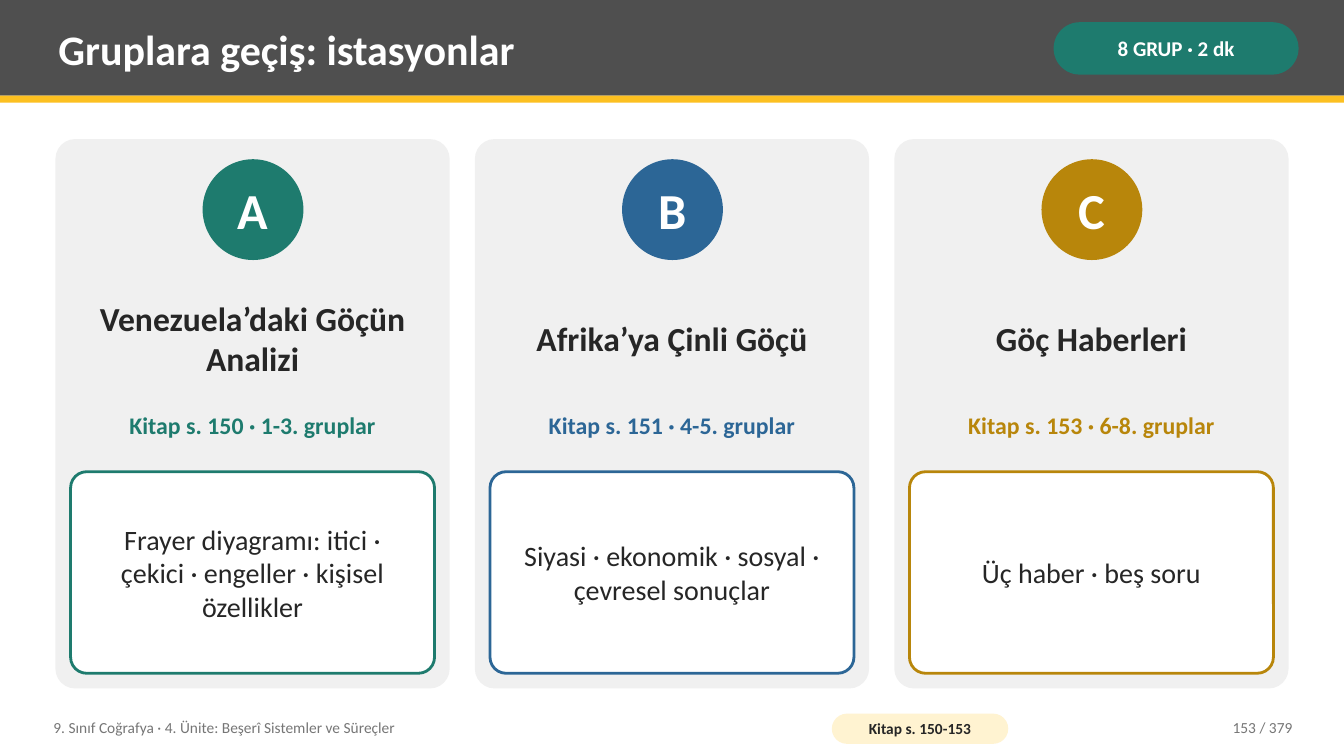
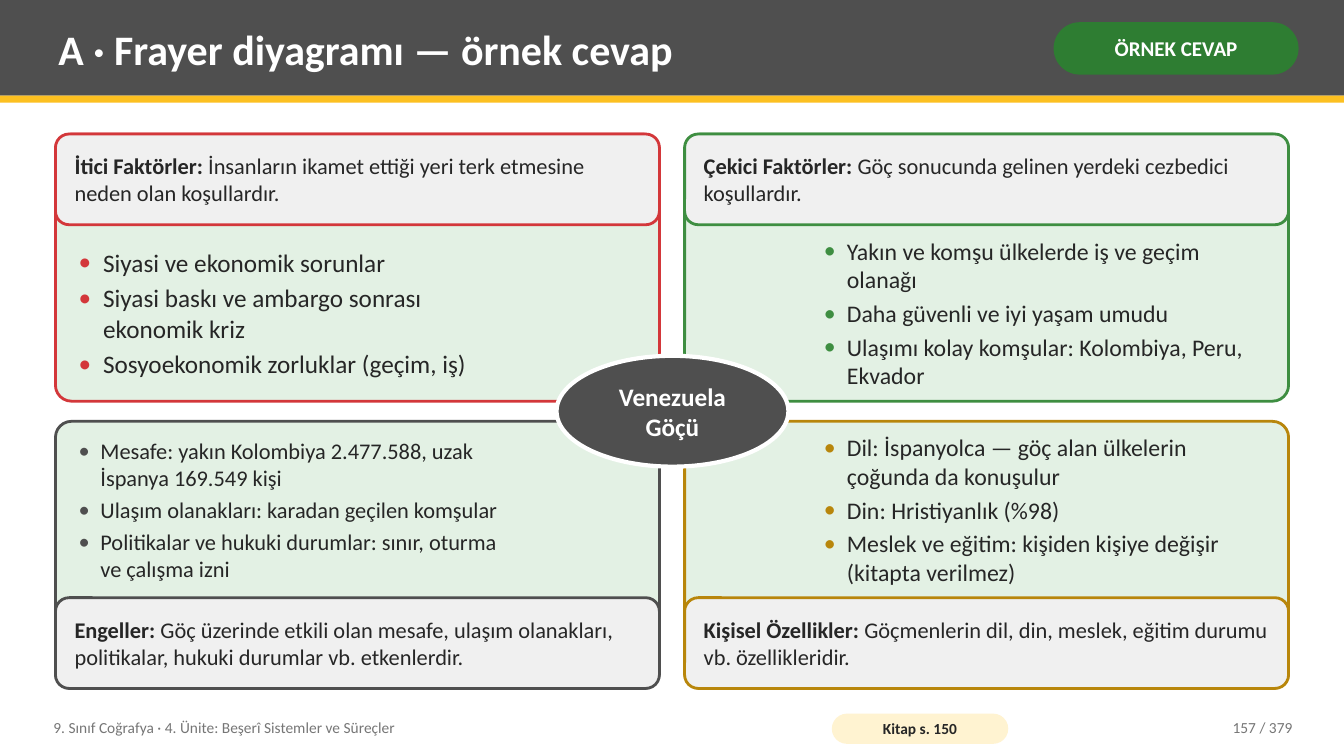
"""Build two lesson slides: the group stations and a Frayer diagram."""
from dataclasses import dataclass

from lxml.etree import SubElement
from pptx import Presentation
from pptx.dml.color import RGBColor
from pptx.enum.shapes import MSO_SHAPE as SHAPE
from pptx.enum.text import MSO_ANCHOR as ANCHOR, MSO_AUTO_SIZE as FIT, PP_ALIGN as ALIGN
from pptx.oxml.ns import qn
from pptx.util import Inches, Pt


@dataclass(frozen=True)
class Theme:
    font: str = "Calibri"
    dark: str = "4F4F4F"
    accent: str = "FCC021"
    text: str = "262626"
    muted: str = "767676"
    white: str = "FFFFFF"
    panel: str = "F0F0F0"
    mint: str = "E3F1E4"
    cream: str = "FFF3D1"
    teal: str = "1E7B6E"
    blue: str = "2C6696"
    gold: str = "B8860B"
    red: str = "D3373A"
    green: str = "3E8E41"
    deep_green: str = "2E7D32"
    title: int = 30
    letter: int = 36
    heading: int = 24
    task: int = 20
    center: int = 18
    pages: int = 17
    definition: int = 16
    badge: int = 15
    footer: int = 11


T = Theme()


def box(s, kind, x, y, w, h, fill, line=None, width=2, adj=None):
    sp = s.shapes.add_shape(kind, Inches(x), Inches(y), Inches(w), Inches(h))
    sp.shadow.inherit = False
    sp.fill.solid()
    sp.fill.fore_color.rgb = RGBColor.from_string(fill)
    if line:
        sp.line.color.rgb = RGBColor.from_string(line)
        sp.line.width = Pt(width)
    else:
        sp.line.fill.background()
    if adj is not None:
        sp.adjustments[0] = adj
    return sp


def write(sp, *texts, size, color=T.text, bold=False, lead="", bullet=None,
          align=ALIGN.LEFT, anchor=ANCHOR.MIDDLE, inset=(0.08, 0.04)):
    tf = sp.text_frame
    tf.word_wrap = True
    tf.auto_size = FIT.NONE
    tf.vertical_anchor = anchor
    tf.margin_left = tf.margin_right = Inches(inset[0])
    tf.margin_top = tf.margin_bottom = Inches(inset[1])
    for i, text in enumerate(texts):
        p = tf.add_paragraph() if i else tf.paragraphs[0]
        p.alignment = align
        p.space_before = Pt(0)
        if bullet:
            pPr = p._p.get_or_add_pPr()
            indent = Inches(0.0135 * size)
            pPr.set("marL", str(indent))
            pPr.set("indent", str(-indent))
            SubElement(SubElement(pPr, qn("a:buClr")), qn("a:srgbClr")).set("val", bullet)
            SubElement(pPr, qn("a:buFont")).set("typeface", T.font)
            SubElement(pPr, qn("a:buChar")).set("char", "•")
            p.space_after = Pt(round(size / 4.5, 1) if i < len(texts) - 1 else 0)
        for part, strong in ((lead, True), (text, bold)):
            if part:
                r = p.add_run()
                r.text = part
                r.font.name = T.font
                r.font.size = Pt(size)
                r.font.bold = strong
                r.font.color.rgb = RGBColor.from_string(color)


prs = Presentation()
prs.slide_width, prs.slide_height = Inches(13.33), Inches(7.5)
TITLE_ONLY, COMPARISON = prs.slide_layouts[5], prs.slide_layouts[4]

frames = [
    (TITLE_ONLY, "Gruplara geçiş: istasyonlar", "8 GRUP · 2 dk", T.teal,
     "Kitap s. 150-153", "153 / 379"),
    (COMPARISON, "A · Frayer diyagramı — örnek cevap", "ÖRNEK CEVAP", T.deep_green,
     "Kitap s. 150", "157 / 379"),
]
for layout, title, badge, badge_color, source, number in frames:
    s = prs.slides.add_slide(layout)
    box(s, SHAPE.RECTANGLE, 0, 0, 13.33, 0.95, T.dark)
    box(s, SHAPE.RECTANGLE, 0, 0.95, 13.33, 0.07, T.accent)
    sp = s.shapes.title
    s.shapes.element.append(sp.element)
    sp.left, sp.top, sp.width, sp.height = map(Inches, (0.5, 0.07, 9.75, 0.82))
    write(sp, title, size=T.title, color=T.white, bold=True)
    sp = box(s, SHAPE.ROUNDED_RECTANGLE, 10.45, 0.22, 2.43, 0.52, badge_color, adj=0.5)
    write(sp, badge, size=T.badge, color=T.white, bold=True, align=ALIGN.CENTER,
          inset=(0.05, 0.02))
    sp = box(s, SHAPE.ROUNDED_RECTANGLE, 8.25, 7.08, 1.75, 0.3, T.cream, adj=0.5)
    write(sp, source, size=T.footer, bold=True, align=ALIGN.CENTER, inset=(0.04, 0))
    for x, w, text, align in (
        (0.45, 7.6, "9. Sınıf Coğrafya · 4. Ünite: Beşerî Sistemler ve Süreçler", ALIGN.LEFT),
        (11.3, 1.6, number, ALIGN.RIGHT),
    ):
        sp = s.shapes.add_textbox(Inches(x), Inches(7.04), Inches(w), Inches(0.36))
        write(sp, text, size=T.footer, color=T.muted, align=align)

stations_slide, frayer_slide = prs.slides

stations = [
    ("A", T.teal, "Venezuela’daki Göçün Analizi", "Kitap s. 150 · 1-3. gruplar",
     "Frayer diyagramı: itici · çekici · engeller · kişisel özellikler"),
    ("B", T.blue, "Afrika’ya Çinli Göçü", "Kitap s. 151 · 4-5. gruplar",
     "Siyasi · ekonomik · sosyal · çevresel sonuçlar"),
    ("C", T.gold, "Göç Haberleri", "Kitap s. 153 · 6-8. gruplar", "Üç haber · beş soru"),
]
s = stations_slide
for i, (letter, color, heading, pages, task) in enumerate(stations):
    x = 0.55 + i * 4.16
    box(s, SHAPE.ROUNDED_RECTANGLE, x, 1.38, 3.91, 5.45, T.panel, adj=0.05)
    sp = box(s, SHAPE.OVAL, x + 1.46, 1.58, 1, 1, color)
    write(sp, letter, size=T.letter, color=T.white, bold=True, align=ALIGN.CENTER, inset=(0, 0))
    sp = s.shapes.add_textbox(Inches(x + 0.15), Inches(2.73), Inches(3.61), Inches(1.25))
    write(sp, heading, size=T.heading, bold=True, align=ALIGN.CENTER)
    sp = s.shapes.add_textbox(Inches(x + 0.15), Inches(4.03), Inches(3.61), Inches(0.5))
    write(sp, pages, size=T.pages, color=color, bold=True, align=ALIGN.CENTER, anchor=ANCHOR.TOP)
    sp = box(s, SHAPE.ROUNDED_RECTANGLE, x + 0.15, 4.68, 3.61, 2, T.white, color, adj=0.08)
    write(sp, task, size=T.task, align=ALIGN.CENTER, inset=(0.14, 0.08))

quadrants = [
    (T.red, 18, "İtici Faktörler:",
     " İnsanların ikamet ettiği yeri terk etmesine neden olan koşullardır.",
     ("Siyasi ve ekonomik sorunlar",
      "Siyasi baskı ve ambargo sonrası ekonomik kriz",
      "Sosyoekonomik zorluklar (geçim, iş)")),
    (T.green, 17, "Çekici Faktörler:",
     " Göç sonucunda gelinen yerdeki cezbedici koşullardır.",
     ("Yakın ve komşu ülkelerde iş ve geçim olanağı",
      "Daha güvenli ve iyi yaşam umudu",
      "Ulaşımı kolay komşular: Kolombiya, Peru, Ekvador")),
    (T.dark, 16, "Engeller:",
     " Göç üzerinde etkili olan mesafe, ulaşım olanakları, politikalar, hukuki durumlar"
     " vb. etkenlerdir.",
     ("Mesafe: yakın Kolombiya 2.477.588, uzak İspanya 169.549 kişi",
      "Ulaşım olanakları: karadan geçilen komşular",
      "Politikalar ve hukuki durumlar: sınır, oturma ve çalışma izni")),
    (T.gold, 17, "Kişisel Özellikler:",
     " Göçmenlerin dil, din, meslek, eğitim durumu vb. özellikleridir.",
     ("Dil: İspanyolca — göç alan ülkelerin çoğunda da konuşulur",
      "Din: Hristiyanlık (%98)",
      "Meslek ve eğitim: kişiden kişiye değişir (kitapta verilmez)")),
]
s = frayer_slide
bodies = [sp for sp in s.placeholders if sp.placeholder_format.idx > 0]
for i, (color, size, label, definition, items) in enumerate(quadrants):
    row, col = divmod(i, 2)
    x, y = 0.55 + col * 6.24, 1.33 + row * 2.85
    box(s, SHAPE.ROUNDED_RECTANGLE, x, y, 5.99, 2.65, T.mint, color, adj=0.06)
    sp = box(s, SHAPE.ROUNDED_RECTANGLE, x, y + row * 1.75, 5.99, 0.9, T.panel, color, adj=0.15)
    write(sp, definition, size=T.definition, lead=label, inset=(0.15, 0.08))
    sp = bodies[i]
    s.shapes.element.append(sp.element)
    sp.left, sp.top = Inches(x + 0.15 + col * 1.15), Inches(y + 0.95 - row * 0.9)
    sp.width, sp.height = Inches(4.54), Inches(1.65)
    write(sp, *items, size=size, bullet=color)

sp = box(s, SHAPE.OVAL, 5.52, 3.53, 2.3, 1.1, T.dark, T.white, width=3)
write(sp, "Venezuela Göçü", size=T.center, color=T.white, bold=True, align=ALIGN.CENTER,
      inset=(0.05, 0.08))

prs.save("out.pptx")
